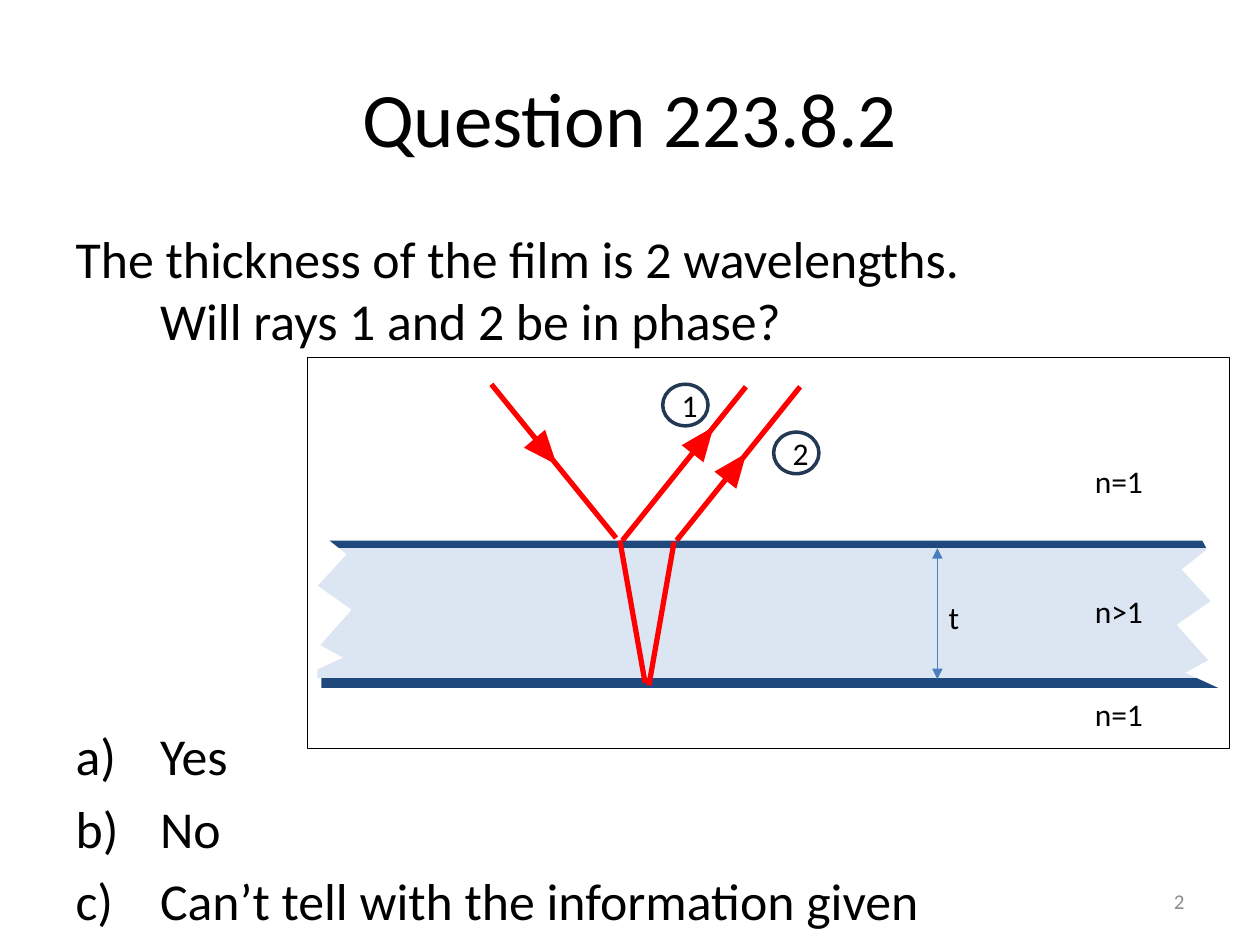
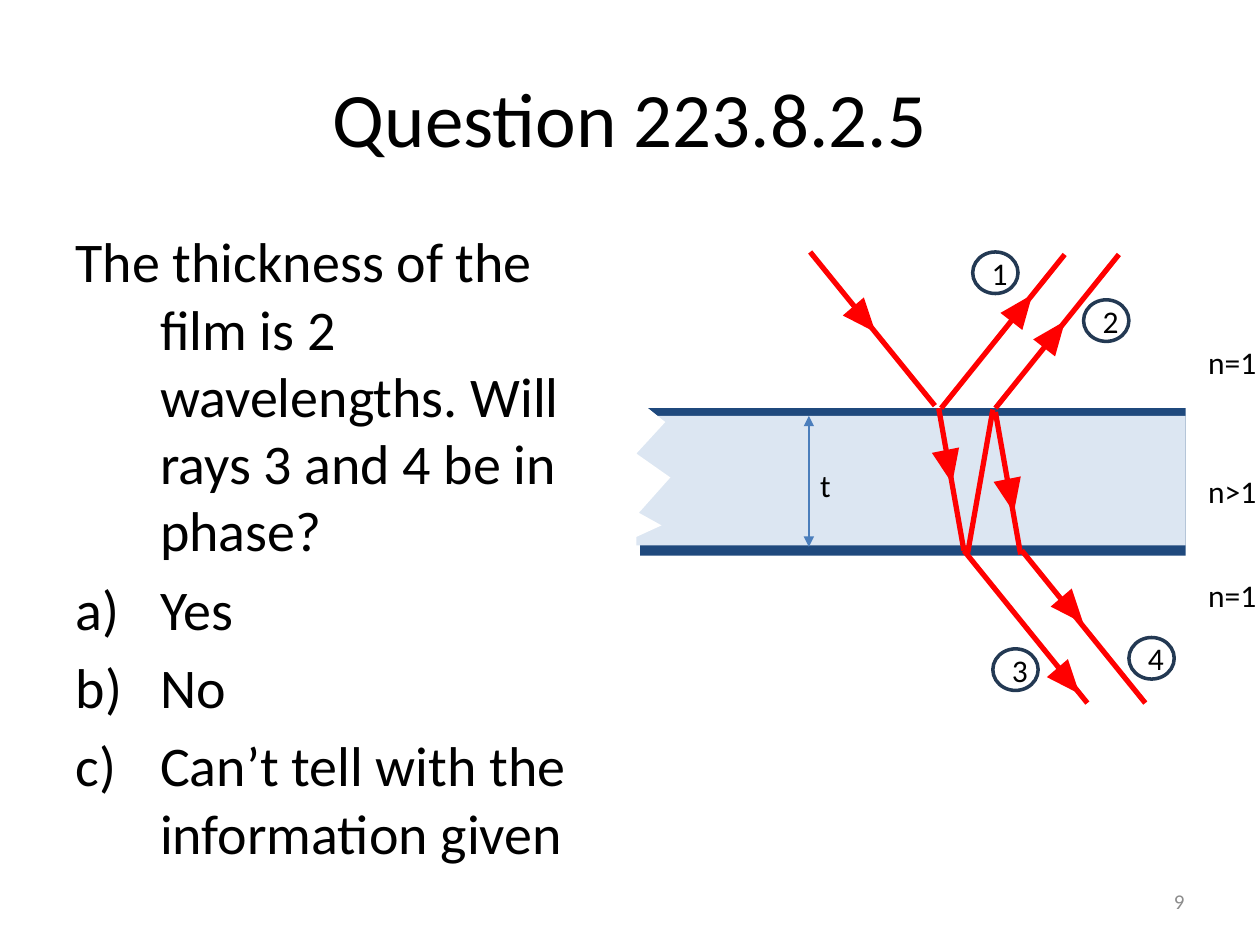
from dataclasses import dataclass
from typing import NamedTuple

from lxml import etree
from pptx import Presentation
from pptx.dml.color import RGBColor
from pptx.enum.shapes import MSO_CONNECTOR as Connector, MSO_SHAPE as Preset
from pptx.enum.text import MSO_ANCHOR as Anchor, MSO_AUTO_SIZE as AutoSize, PP_ALIGN as Align
from pptx.oxml.ns import qn
from pptx.util import Emu, Pt

PX = 9144  # EMU per px, 100 px to the inch
FONT = "Calibri"
BLACK = RGBColor(0x00, 0x00, 0x00)
WHITE = RGBColor(0xFF, 0xFF, 0xFF)
GRAY = RGBColor(0x8C, 0x8C, 0x8C)
RED = RGBColor(0xFF, 0x00, 0x00)
SURFACE_BLUE = RGBColor(0x1F, 0x49, 0x7D)
FILM_BLUE = RGBColor(0xDC, 0xE6, 0xF2)
DIMENSION_BLUE = RGBColor(0x4B, 0x7E, 0xBC)
CIRCLE_BLUE = RGBColor(0x23, 0x39, 0x53)

ANSWERS = ("Yes", "No", "Can’t tell with the information given")
ANSWER_INDENT = 67
FILM_HEIGHT = 117


class Point(NamedTuple):
    x: int
    y: int


class Ray(NamedTuple):
    start: Point
    end: Point


class Arrowhead(NamedTuple):
    x: int
    y: int
    rotation: float


class Box(NamedTuple):
    left: int
    top: int
    width: int
    height: int

    def emu(self) -> list[Emu]:
        return [Emu(length * PX) for length in self]


class Circle(NamedTuple):
    x: int
    y: int
    text: str


class Tear(NamedTuple):
    corner: Point
    direction: int  # 1 cuts rightward, -1 leftward


# Diagram coordinates are measured from the film's top left corner.
REFLECTED_RAYS = (
    Ray(Point(135, -124), Point(234, -2)),
    Ray(Point(237, 0), Point(257, 113)),
    Ray(Point(337, -122), Point(239, 0)),
    Ray(Point(380, -122), Point(282, 0)),
    Ray(Point(280, 1), Point(260, 115)),
)
REFLECTED_ARROWHEADS = (
    Arrowhead(167, -84, 139.4), Arrowhead(292, -93, 37.9), Arrowhead(318, -72, 37.9))
TRANSMITTED_RAYS = (
    Ray(Point(257, 113), Point(355, 234)),
    Ray(Point(282, 3), Point(302, 116)),
    Ray(Point(303, 113), Point(401, 234)),
)
TRANSMITTED_ARROWHEADS = (
    Arrowhead(332, 147, 139.4), Arrowhead(329, 203, 139.4),
    Arrowhead(234, 33, 168.8), Arrowhead(283, 56, 168.8))
TEAR_OUTLINE = ((0, 0), (1, 137), (38, 120), (20, 110), (45, 82),
                (18, 63), (41, 38), (21, 22), (31, 3))
LEFT_TEAR = Tear(Point(-21, -27), 1)
RIGHT_TEAR = Tear(Point(724, -15), -1)
INDEX_LABELS = ((0, "n=1"), (103, "n>1"), (185, "n=1"))


@dataclass(frozen=True)
class Question:
    title: str
    number: str
    text: str
    body_width: int
    body_size: float
    answer_gap: float  # points between the question and its answers
    film_corner: Point
    surface_width: int
    film_width: int
    index_corner: Point
    dimension_x: int
    circles: tuple[Circle, ...]
    tears: tuple[Tear, ...] = (LEFT_TEAR,)
    extra_rays: tuple[Ray, ...] = ()
    extra_arrowheads: tuple[Arrowhead, ...] = ()
    frame: Box | None = None


QUESTIONS = (
    Question(
        title="Question 223.8.2", number="2",
        text="The thickness of the film is 2 wavelengths. Will rays 1 and 2 be in phase?",
        body_width=742, body_size=29.6, answer_gap=213,
        film_corner=Point(255, 429), surface_width=713, film_width=720,
        index_corner=Point(859, 362), dimension_x=489,
        circles=(Circle(271, -124, "1"), Circle(359, -86, "2")),
        tears=(RIGHT_TEAR, LEFT_TEAR), frame=Box(244, 284, 732, 310)),
    Question(
        title="Question 223.8.2.5", number="9",
        text="The thickness of the film is 2 wavelengths. Will rays 3 and 4 be in phase?",
        body_width=443, body_size=32, answer_gap=6.4,
        film_corner=Point(508, 324), surface_width=433, film_width=436,
        index_corner=Point(949, 267), dimension_x=134,
        circles=(Circle(264, -124, "1"), Circle(352, -86, "2"),
                 Circle(280, 191, "3"), Circle(388, 182, "4")),
        extra_rays=TRANSMITTED_RAYS, extra_arrowheads=TRANSMITTED_ARROWHEADS),
)


def style(paragraph, size: float, color: RGBColor = BLACK, align: Align | None = None) -> None:
    paragraph.font.name = FONT
    paragraph.font.size = Pt(size)
    paragraph.font.color.rgb = color
    if align is not None:
        paragraph.alignment = align


def place(shape, box: Box) -> None:
    shape.left, shape.top, shape.width, shape.height = box.emu()


def paint(shape, fill: RGBColor | None, line: RGBColor | None = None, width: float = 0) -> None:
    shape.shadow.inherit = False
    if fill is None:
        shape.fill.background()
    else:
        shape.fill.solid()
        shape.fill.fore_color.rgb = fill
    if line is None:
        shape.line.fill.background()
    else:
        shape.line.color.rgb = line
        shape.line.width = Pt(width)


def add_preset(slide, preset: Preset, box: Box, fill: RGBColor | None,
               line: RGBColor | None = None, width: float = 0):
    shape = slide.shapes.add_shape(preset, *box.emu())
    paint(shape, fill, line, width)
    return shape


def add_label(slide, box: Box, text: str) -> None:
    frame = slide.shapes.add_textbox(*box.emu()).text_frame
    frame.word_wrap = False
    frame.auto_size = AutoSize.SHAPE_TO_FIT_TEXT
    frame.text = text
    style(frame.paragraphs[0], 18)


def add_line(slide, origin: Point, ray: Ray, color: RGBColor, width: float):
    ends = [Emu((start + offset) * PX) for point in ray for start, offset in zip(origin, point)]
    line = slide.shapes.add_connector(Connector.STRAIGHT, *ends)
    line.line.color.rgb = color
    line.line.width = Pt(width)
    etree.SubElement(line._element.spPr, qn("a:effectLst"))
    return line


def add_rays(slide, origin: Point, rays: tuple[Ray, ...],
             arrowheads: tuple[Arrowhead, ...]) -> None:
    for ray in rays:
        add_line(slide, origin, ray, RED, 3)
    for head in arrowheads:
        box = Box(origin.x + head.x, origin.y + head.y, 22, 27)
        add_preset(slide, Preset.ISOSCELES_TRIANGLE, box, RED).rotation = head.rotation


def add_tear(slide, origin: Point, tear: Tear) -> None:
    left, top = origin.x + tear.corner.x, origin.y + tear.corner.y
    points = [(left + tear.direction * x, top + y) for x, y in TEAR_OUTLINE]
    builder = slide.shapes.build_freeform(*points[0], scale=PX)
    builder.add_line_segments(points[1:], close=True)
    paint(builder.convert_to_shape(), WHITE)


def add_circle(slide, origin: Point, circle: Circle) -> None:
    box = Box(origin.x + circle.x, origin.y + circle.y, 36, 33)
    frame = add_preset(slide, Preset.OVAL, box, WHITE, CIRCLE_BLUE, 2).text_frame
    frame.vertical_anchor = Anchor.MIDDLE
    frame.text = circle.text
    style(frame.paragraphs[0], 18, align=Align.CENTER)


def add_dimension(slide, origin: Point, x: int) -> None:
    """Mark the film's thickness with a double arrow and its letter."""
    arrow = add_line(slide, origin, Ray(Point(x, 6), Point(x, 110)), DIMENSION_BLUE, 0.75)
    outline = arrow.line._get_or_add_ln()
    for end in ("a:headEnd", "a:tailEnd"):
        etree.SubElement(outline, qn(end), type="triangle")
    add_label(slide, Box(origin.x + x - 1, origin.y + 41, 29, 40), "t")


def add_diagram(slide, question: Question) -> None:
    origin = question.film_corner
    add_preset(slide, Preset.RECTANGLE,
               Box(*origin, question.surface_width, FILM_HEIGHT), SURFACE_BLUE)
    add_preset(slide, Preset.RECTANGLE,
               Box(origin.x - 3, origin.y + 6, question.film_width, FILM_HEIGHT - 14), FILM_BLUE)
    add_rays(slide, origin, REFLECTED_RAYS, REFLECTED_ARROWHEADS)
    for tear in question.tears:
        add_tear(slide, origin, tear)
    if question.frame:
        add_preset(slide, Preset.RECTANGLE, question.frame, None, BLACK, 0.75)
    for offset, text in INDEX_LABELS:
        left, top = question.index_corner
        add_label(slide, Box(left, top + offset, 59, 40), text)
    add_rays(slide, origin, question.extra_rays, question.extra_arrowheads)
    for circle in question.circles:
        add_circle(slide, origin, circle)
    add_dimension(slide, origin, question.dimension_x)


def fill_body(body, question: Question) -> None:
    place(body, Box(50, 175, question.body_width, 495))
    frame = body.text_frame
    frame.auto_size = AutoSize.NONE
    frame.text = "\n".join((question.text, *ANSWERS))
    for index, paragraph in enumerate(frame.paragraphs):
        properties = paragraph._p.get_or_add_pPr()
        properties.set("marL", str(ANSWER_INDENT * PX))
        properties.set("indent", str(-ANSWER_INDENT * PX))
        if index == 0:
            etree.SubElement(properties, qn("a:buNone"))
            paragraph.space_before = Pt(0)
        else:
            etree.SubElement(properties, qn("a:buFont"), typeface="+mj-lt")
            etree.SubElement(properties, qn("a:buAutoNum"), type="alphaLcParenR")
            paragraph.space_before = Pt(question.answer_gap if index == 1
                                        else question.body_size / 5)
        style(paragraph, question.body_size)


def add_slide_number(slide, number: str) -> None:
    frame = slide.shapes.add_textbox(*Box(717, 695, 233, 40).emu()).text_frame
    frame.word_wrap = True
    frame.vertical_anchor = Anchor.MIDDLE
    frame.text = number
    style(frame.paragraphs[0], 12, GRAY, Align.RIGHT)


def add_question(presentation, question: Question) -> None:
    slide = presentation.slides.add_slide(presentation.slide_layouts[1])
    title = slide.shapes.title
    place(title, Box(50, 30, 900, 125))
    title.text_frame.text = question.title
    title.text_frame.vertical_anchor = Anchor.MIDDLE
    style(title.text_frame.paragraphs[0], 44, align=Align.CENTER)
    fill_body(slide.placeholders[1], question)
    add_slide_number(slide, question.number)
    add_diagram(slide, question)


def main() -> None:
    presentation = Presentation()
    presentation.slide_width, presentation.slide_height = Emu(1000 * PX), Emu(750 * PX)
    for question in QUESTIONS:
        add_question(presentation, question)
    presentation.save("out.pptx")


if __name__ == "__main__":
    main()
